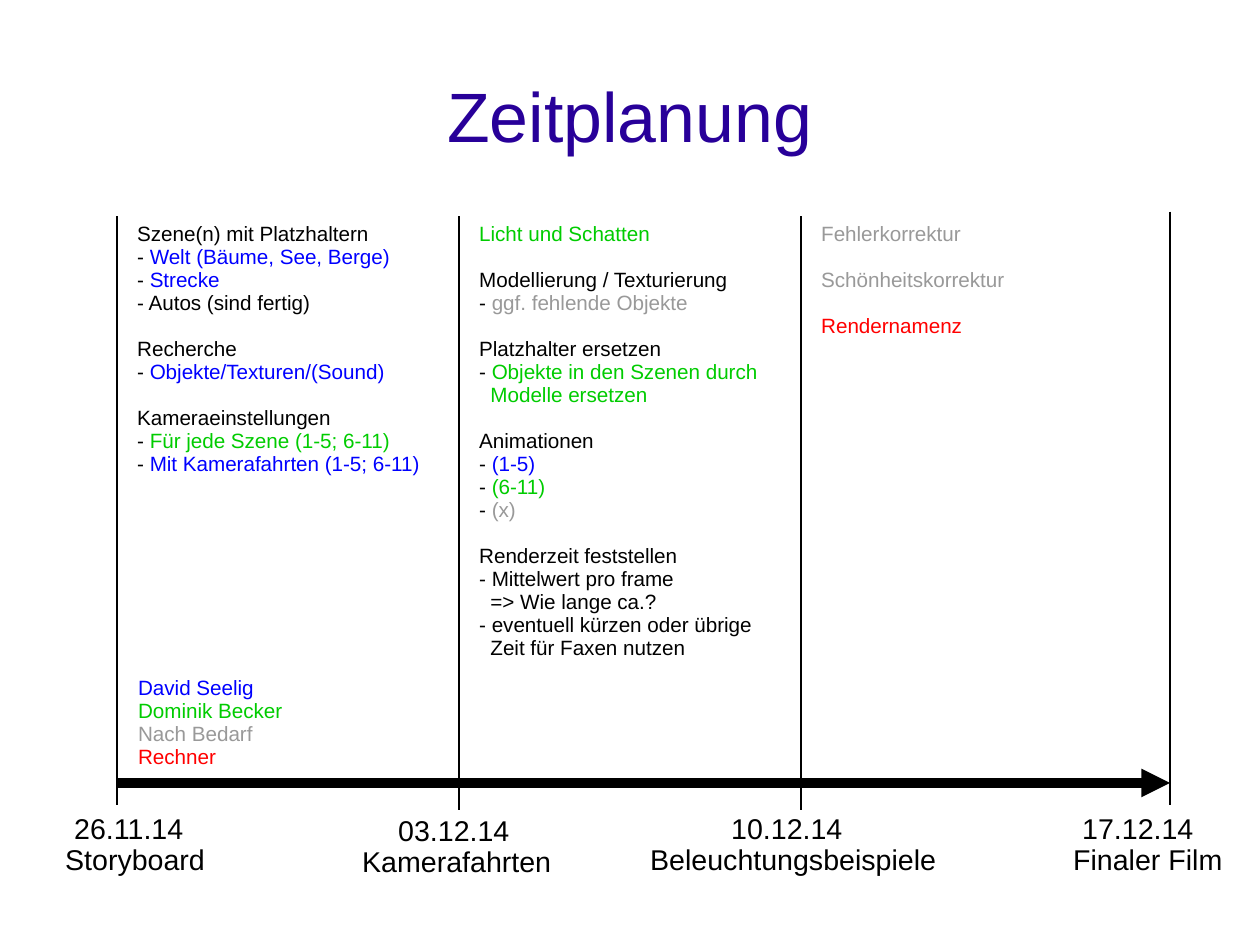
"""Build the Zeitplanung slide: a timeline with four milestones and three work columns."""
from dataclasses import dataclass

from lxml.etree import SubElement
from pptx import Presentation
from pptx.dml.color import RGBColor
from pptx.enum.shapes import MSO_CONNECTOR
from pptx.enum.text import MSO_ANCHOR, PP_ALIGN
from pptx.oxml.ns import qn
from pptx.util import Cm, Pt


@dataclass(frozen=True)
class Theme:
    font: str = "Arial"
    title: str = "280099"
    black: str = "000000"
    blue: str = "0000FF"
    green: str = "00CC00"
    grey: str = "999999"
    red: str = "FF0000"
    title_size: float = 44
    label_size: float = 18
    body_size: float = 13
    group_gap: float = 14.5


theme = Theme()


def add_text(page, groups, left, top, width, height, size=theme.body_size,
             inset_top=0.15, inset_side=0.25, align=PP_ALIGN.LEFT, anchor=MSO_ANCHOR.TOP):
    """Add a box with groups of (text, colour) lines; dashes stay black, groups are spaced apart."""
    box = page.shapes.add_textbox(Cm(left), Cm(top), Cm(width), Cm(height))
    frame = box.text_frame
    frame.word_wrap = True
    frame.vertical_anchor = anchor
    frame.margin_left = frame.margin_right = Cm(inset_side)
    frame.margin_top, frame.margin_bottom = Cm(inset_top), Cm(0)
    para = frame.paragraphs[0]
    for group_number, group in enumerate(groups):
        for line_number, (text, color) in enumerate(group):
            if group_number or line_number:
                para = frame.add_paragraph()
            para.alignment = align
            para.line_spacing = 0.93
            if group_number and not line_number:
                para.space_before = Pt(theme.group_gap)
            pieces = [(text, color)]
            if text.startswith("- "):
                pieces = [("- ", theme.black), (text[2:], color)]
                properties = para._p.get_or_add_pPr()
                properties.set("marL", str(Cm(0.25)))
                properties.set("indent", str(-Cm(0.25)))
            for piece, piece_color in pieces:
                for part_number, part in enumerate(piece.split("\n")):
                    if part_number:
                        para.add_line_break()
                    span = para.add_run()
                    span.text = part
                    span.font.name = theme.font
                    span.font.size = Pt(size)
                    span.font.color.rgb = RGBColor.from_string(piece_color)


def add_line(page, start_x, start_y, end_x, end_y, width=0.75):
    """Add a plain black line and return it."""
    line = page.shapes.add_connector(
        MSO_CONNECTOR.STRAIGHT, Cm(start_x), Cm(start_y), Cm(end_x), Cm(end_y))
    line.line.color.rgb = RGBColor.from_string(theme.black)
    line.line.width = Pt(width)
    SubElement(line._element.spPr, qn("a:effectLst"))
    return line


deck = Presentation()
deck.slide_width, deck.slide_height = Cm(28), Cm(21)
page = deck.slides.add_slide(deck.slide_layouts[6])

add_text(page, [[("Zeitplanung", theme.title)]], 1.4, 0.84, 25.2, 3.5, size=theme.title_size,
         inset_top=0.1, inset_side=0, align=PP_ALIGN.CENTER, anchor=MSO_ANCHOR.MIDDLE)

arrow = add_line(page, 2.6, 17.4, 26, 17.4, width=6)
SubElement(arrow.line._get_or_add_ln(), qn("a:tailEnd"), type="triangle")

milestones = [
    (2.6, 4.8, 17.9, "26.11.14", 1.4, "Storyboard", 1.2, 3.8, 17.9),
    (10.2, 4.8, 18, "03.12.14", 8.6, "Kamerafahrten", 7.8, 4.8, 17.95),
    (17.8, 4.8, 18, "10.12.14", 16, "Beleuchtungsbeispiele", 14.2, 7, 17.9),
    (26, 4.7, 17.9, "17.12.14", 23.8, "Finaler Film", 23.6, 4.4, 17.9),
]
for x, line_top, line_end, date, date_left, name, name_left, name_width, label_top in milestones:
    add_line(page, x, line_top, x, line_end)
    add_text(page, [[(date, theme.black)]], date_left, label_top, 3.6, 0.97,
             size=theme.label_size, inset_top=0.18)
    add_text(page, [[(name, theme.black)]], name_left, label_top + 0.7, name_width, 1.68,
             size=theme.label_size, inset_top=0.18)

columns = [
    (6.4, [
        [("Szene(n) mit Platzhaltern", theme.black),
         ("- Welt (Bäume, See, Berge)", theme.blue),
         ("- Strecke", theme.blue),
         ("- Autos (sind fertig)", theme.black)],
        [("Recherche", theme.black),
         ("- Objekte/Texturen/(Sound)", theme.blue)],
        [("Kameraeinstellungen", theme.black),
         ("- Für jede Szene (1-5; 6-11)", theme.green),
         ("- Mit Kamerafahrten (1-5; 6-11)", theme.blue)],
    ]),
    (10.5, [
        [("Licht und Schatten", theme.green)],
        [("Modellierung / Texturierung", theme.black),
         ("- ggf. fehlende Objekte", theme.grey)],
        [("Platzhalter ersetzen", theme.black),
         ("- Objekte in den Szenen durch\nModelle ersetzen", theme.green)],
        [("Animationen", theme.black),
         ("- (1-5)", theme.blue),
         ("- (6-11)", theme.green),
         ("- (x)", theme.grey)],
        [("Renderzeit feststellen", theme.black),
         ("- Mittelwert pro frame\n=> Wie lange ca.?", theme.black),
         ("- eventuell kürzen oder übrige\nZeit für Faxen nutzen", theme.black)],
    ]),
    (3.32, [
        [("Fehlerkorrektur", theme.grey)],
        [("Schönheitskorrektur", theme.grey)],
        [("Rendernamenz", theme.red)],
    ]),
]
for (x, *_), (height, groups) in zip(milestones, columns):
    add_text(page, groups, x + 0.2, 4.8, 7.2, height)

legend = [("David Seelig", theme.blue), ("Dominik Becker", theme.green),
          ("Nach Bedarf", theme.grey), ("Rechner", theme.red)]
add_text(page, [legend], 2.82, 14.9, 6.6, 2.3)

deck.save("out.pptx")
